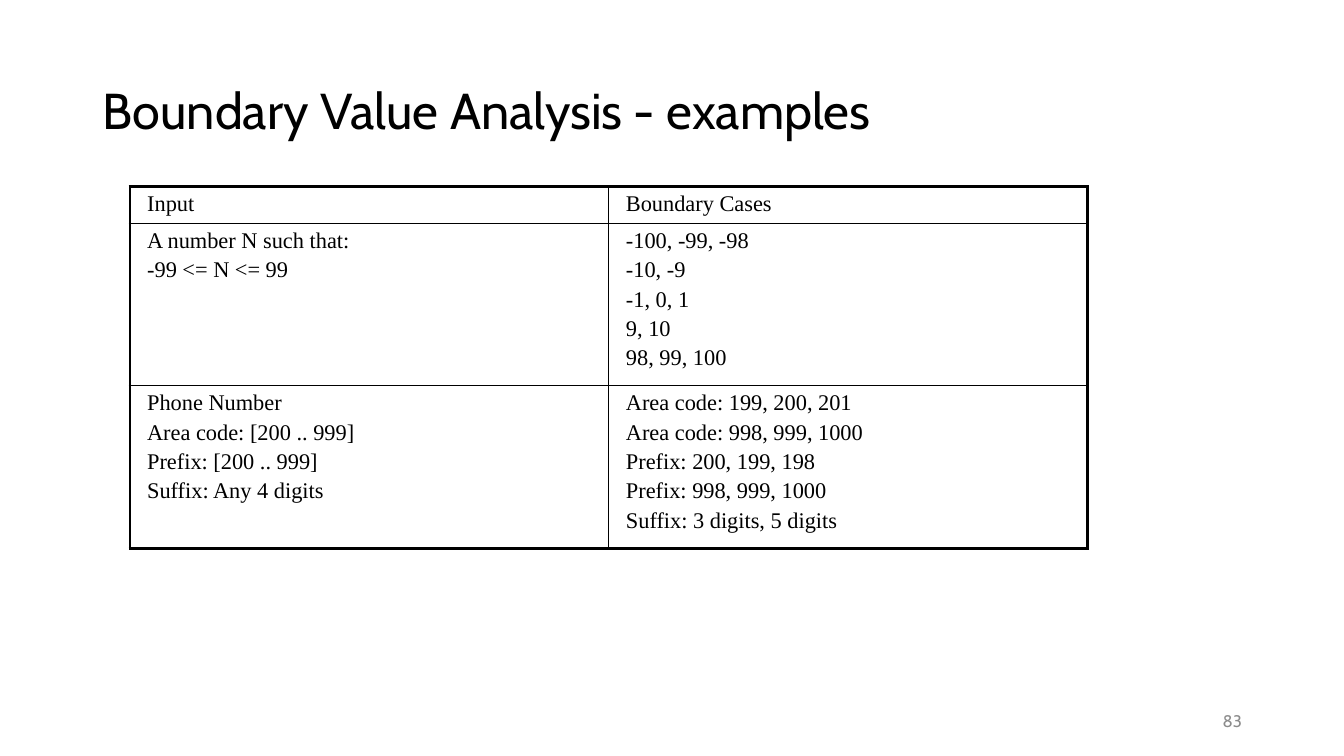
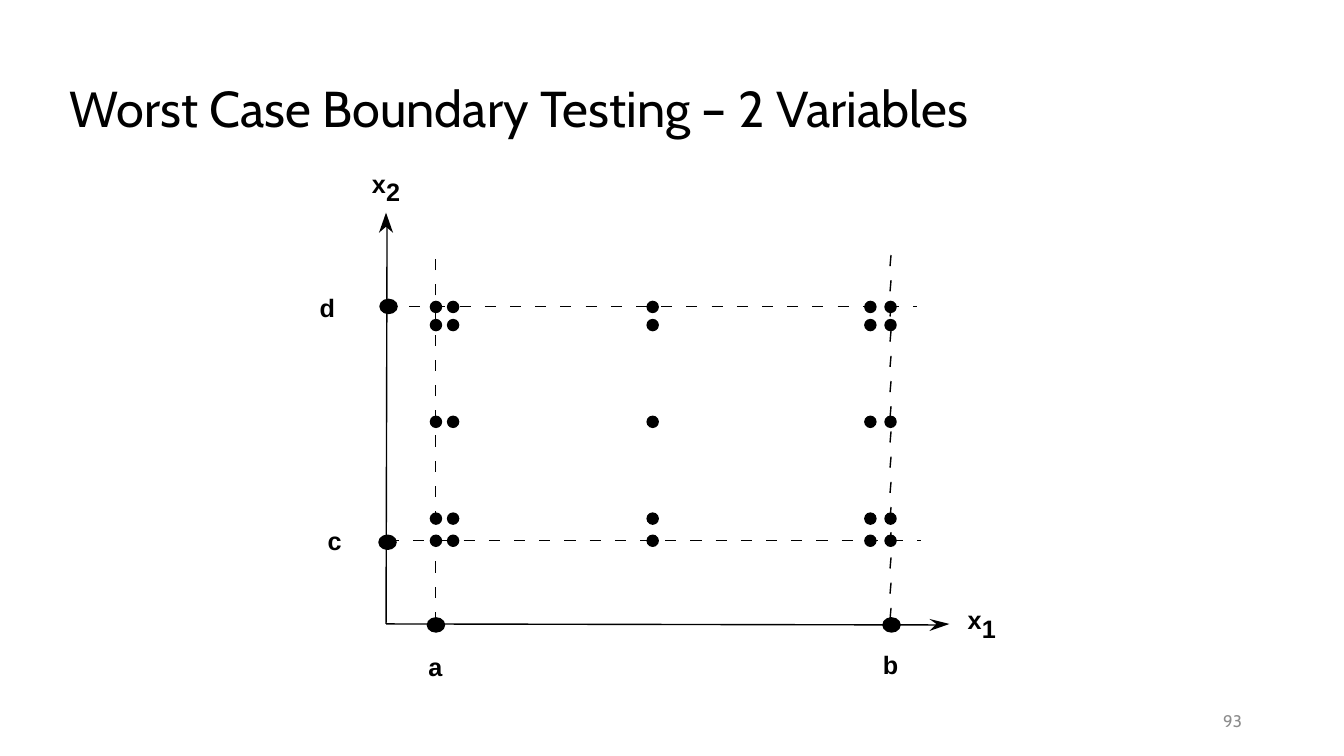
from dataclasses import dataclass
from itertools import product
from math import ceil

from lxml import etree
from pptx import Presentation
from pptx.dml.color import RGBColor
from pptx.enum.shapes import MSO_CONNECTOR, MSO_SHAPE
from pptx.enum.text import MSO_ANCHOR, PP_ALIGN
from pptx.oxml.ns import qn
from pptx.util import Inches, Pt

STRAIGHT = MSO_CONNECTOR.STRAIGHT
OVAL = MSO_SHAPE.OVAL
TOP, MIDDLE = MSO_ANCHOR.TOP, MSO_ANCHOR.MIDDLE
LEFT, RIGHT = PP_ALIGN.LEFT, PP_ALIGN.RIGHT

BLACK = RGBColor(0x00, 0x00, 0x00)
GRAY = RGBColor(0x8C, 0x8C, 0x8C)
TITLE_FONT, TABLE_FONT, LABEL_FONT = "Cabin", "Times New Roman", "Arial"
THIN, THICK = 1, 2.25


@dataclass(frozen=True)
class Box:
    left: float
    top: float
    width: float
    height: float

    def lengths(self) -> tuple:
        return tuple(Inches(v) for v in (self.left, self.top, self.width, self.height))


@dataclass(frozen=True)
class Segment:
    x1: float
    y1: float
    x2: float
    y2: float


@dataclass(frozen=True)
class Label:
    text: str
    left: float
    top: float


# Table content: one tuple per row, one list of lines per cell
ROWS = [
    (["Input"], ["Boundary Cases"]),
    (["A number N such that:", "-99 <= N <= 99"],
     ["-100, -99, -98", "-10, -9", "-1, 0, 1", "9, 10", "98, 99, 100"]),
    (["Phone Number", "Area code: [200 .. 999]", "Prefix: [200 .. 999]",
      "Suffix: Any 4 digits"],
     ["Area code: 199, 200, 201", "Area code: 998, 999, 1000",
      "Prefix: 200, 199, 198", "Prefix: 998, 999, 1000",
      "Suffix: 3 digits, 5 digits"]),
]
ROW_HEIGHTS = [0.33, 1.12, 1.12]  # minimum heights; rows grow with their text
TABLE_BOX = Box(1.29, 1.85, 9.5, 3.66)

# Diagram geometry
DASH, DASH_STEP = 0.11, 0.25
AXES = [Segment(3.83, 6.19, 9.29, 6.2), Segment(3.83, 6.19, 3.84, 2.25)]
VERTICAL_BOUNDS = [Segment(4.32, 6.18, 4.32, 2.57),
                   Segment(8.83, 6.14, 8.84, 2.53)]
HORIZONTAL_BOUNDS = [Segment(3.85, 5.36, 9.14, 5.36),
                     Segment(3.81, 3.04, 9.1, 3.04)]
ARROWHEADS = [
    [(9.42, 6.19), (9.22, 6.26), (9.29, 6.19), (9.22, 6.14)],
    [(3.83, 2.11), (3.9, 2.31), (3.83, 2.25), (3.76, 2.31)],
]
AXIS_MARKS = [(4.24, 6.13), (8.76, 6.13), (3.76, 5.31), (3.77, 2.97)]
TEST_LEFTS = [4.27, 4.44, 6.42, 8.58, 8.78]
TEST_TOPS = [2.99, 3.17, 4.13, 5.09, 5.31]
LABELS = [
    Label("a", 4.25, 6.46), Label("b", 8.76, 6.44),
    Label("c", 3.25, 5.21), Label("d", 3.17, 2.9),
    Label("x", 3.69, 1.67), Label("2", 3.83, 1.75),
    Label("x", 9.6, 6), Label("1", 9.74, 6.08),
]


def write_text(tf, lines: list[str], *, size: float, font: str, color=BLACK,
               bold=False, align=LEFT, spacing=1.0, before=0.0) -> None:
    for i, line in enumerate(lines):
        p = tf.paragraphs[0] if i == 0 else tf.add_paragraph()
        p.alignment = align
        p.line_spacing = spacing
        p.space_before = Pt(before if i else 0)
        r = p.add_run()
        r.text = line
        r.font.size, r.font.name, r.font.bold = Pt(size), font, bold
        r.font.color.rgb = color


def add_text(s, box: Box, text: str, *, anchor=MIDDLE, wrap=True,
             inset=True, **style) -> None:
    tf = s.shapes.add_textbox(*box.lengths()).text_frame
    tf.word_wrap = wrap
    tf.vertical_anchor = anchor
    if not inset:
        tf.margin_left = tf.margin_right = tf.margin_top = tf.margin_bottom = 0
    write_text(tf, [text], **style)


def add_base(prs, title: str, title_box: Box, number: int):
    """Blank slide with the shared title style and page number."""
    s = prs.slides.add_slide(prs.slide_layouts[6])
    add_text(s, title_box, title, size=36, font=TITLE_FONT, spacing=0.9)
    add_text(s, Box(9.42, 6.95, 3, 0.4), str(number), size=12, font=TITLE_FONT,
             color=GRAY, align=RIGHT)
    return s


def set_border(cell, side: str, width: float) -> None:
    ln = etree.SubElement(cell._tc.get_or_add_tcPr(), qn(f"a:ln{side}"),
                          w=str(Pt(width)))
    fill = etree.SubElement(ln, qn("a:solidFill"))
    etree.SubElement(fill, qn("a:srgbClr"), val=str(BLACK))


def add_case_table(s) -> None:
    n_rows, n_cols = len(ROWS), len(ROWS[0])
    frame = s.shapes.add_table(n_rows, n_cols, *TABLE_BOX.lengths())
    table = frame.table
    table.first_row = table.horz_banding = False
    for row, height in zip(table.rows, ROW_HEIGHTS):
        row.height = Inches(height)
    frame.height = Inches(TABLE_BOX.height)
    for i, j in product(range(n_rows), range(n_cols)):
        cell = table.cell(i, j)
        cell.margin_left = cell.margin_right = Inches(0.17)
        cell.margin_top = cell.margin_bottom = Inches(0.05)
        outer = {"L": j == 0, "R": j == n_cols - 1,
                 "T": i == 0, "B": i == n_rows - 1}
        for side, is_outer in outer.items():
            set_border(cell, side, THICK if is_outer else THIN)
        cell.fill.background()
        write_text(cell.text_frame, ROWS[i][j], size=16, font=TABLE_FONT,
                   before=3.2)


def add_segment(s, seg: Segment) -> None:
    ends = (Inches(v) for v in (seg.x1, seg.y1, seg.x2, seg.y2))
    sp = s.shapes.add_connector(STRAIGHT, *ends)
    sp.line.color.rgb = BLACK
    sp.line.width = Pt(THIN)
    etree.SubElement(sp._element.spPr, qn("a:effectLst"))


def dash_spans(length: float) -> list[tuple[float, float]]:
    """Start and end of each dash; the last one stops at the line's end."""
    starts = [i * DASH_STEP for i in range(ceil(length / DASH_STEP))]
    return [(start, min(start + DASH, length)) for start in starts]


def add_dashed_bounds(s) -> None:
    for b in VERTICAL_BOUNDS:
        for start, end in dash_spans(b.y1 - b.y2):
            add_segment(s, Segment(b.x1, b.y1 - start, b.x2, b.y1 - end))
    for b in HORIZONTAL_BOUNDS:
        for start, end in dash_spans(b.x2 - b.x1):
            add_segment(s, Segment(b.x1 + start, b.y1, b.x1 + end, b.y2))


def paint_black(sp, outlined: bool) -> None:
    sp.shadow.inherit = False
    sp.fill.solid()
    sp.fill.fore_color.rgb = BLACK
    if outlined:
        sp.line.color.rgb = BLACK
        sp.line.width = Pt(THIN)
    else:
        sp.line.fill.background()


def add_dot(s, box: Box) -> None:
    paint_black(s.shapes.add_shape(OVAL, *box.lengths()), outlined=True)


def add_arrowhead(s, points: list[tuple[float, float]]) -> None:
    start, *rest = [(Inches(x), Inches(y)) for x, y in points]
    builder = s.shapes.build_freeform(*start)
    builder.add_line_segments(rest, close=True)
    paint_black(builder.convert_to_shape(), outlined=False)


def add_diagram(s) -> None:
    # Axes and boundary lines
    for axis in AXES:
        add_segment(s, axis)
    for points in ARROWHEADS:
        add_arrowhead(s, points)
    add_dashed_bounds(s)
    # Boundary marks on the axes, then the grid of test points
    for left, top in AXIS_MARKS:
        add_dot(s, Box(left, top, 0.17, 0.14))
    for left, top in product(TEST_LEFTS, TEST_TOPS):
        add_dot(s, Box(left, top, 0.11, 0.11))
    for label in LABELS:
        add_text(s, Box(label.left, label.top, 0.14, 0.3), label.text,
                 anchor=TOP, wrap=False, inset=False, size=18,
                 font=LABEL_FONT, bold=True)


def main() -> None:
    prs = Presentation()
    prs.slide_width, prs.slide_height = Inches(40 / 3), Inches(7.5)

    # Examples table
    s = add_base(prs, "Boundary Value Analysis - examples",
                 Box(0.92, 0.4, 11.5, 1.45), 83)
    add_case_table(s)

    # Two-variable diagram
    s = add_base(prs, "Worst Case Boundary Testing – 2 Variables",
                 Box(0.59, 0.53, 10.73, 1.15), 93)
    add_diagram(s)

    prs.save("out.pptx")


if __name__ == "__main__":
    main()
